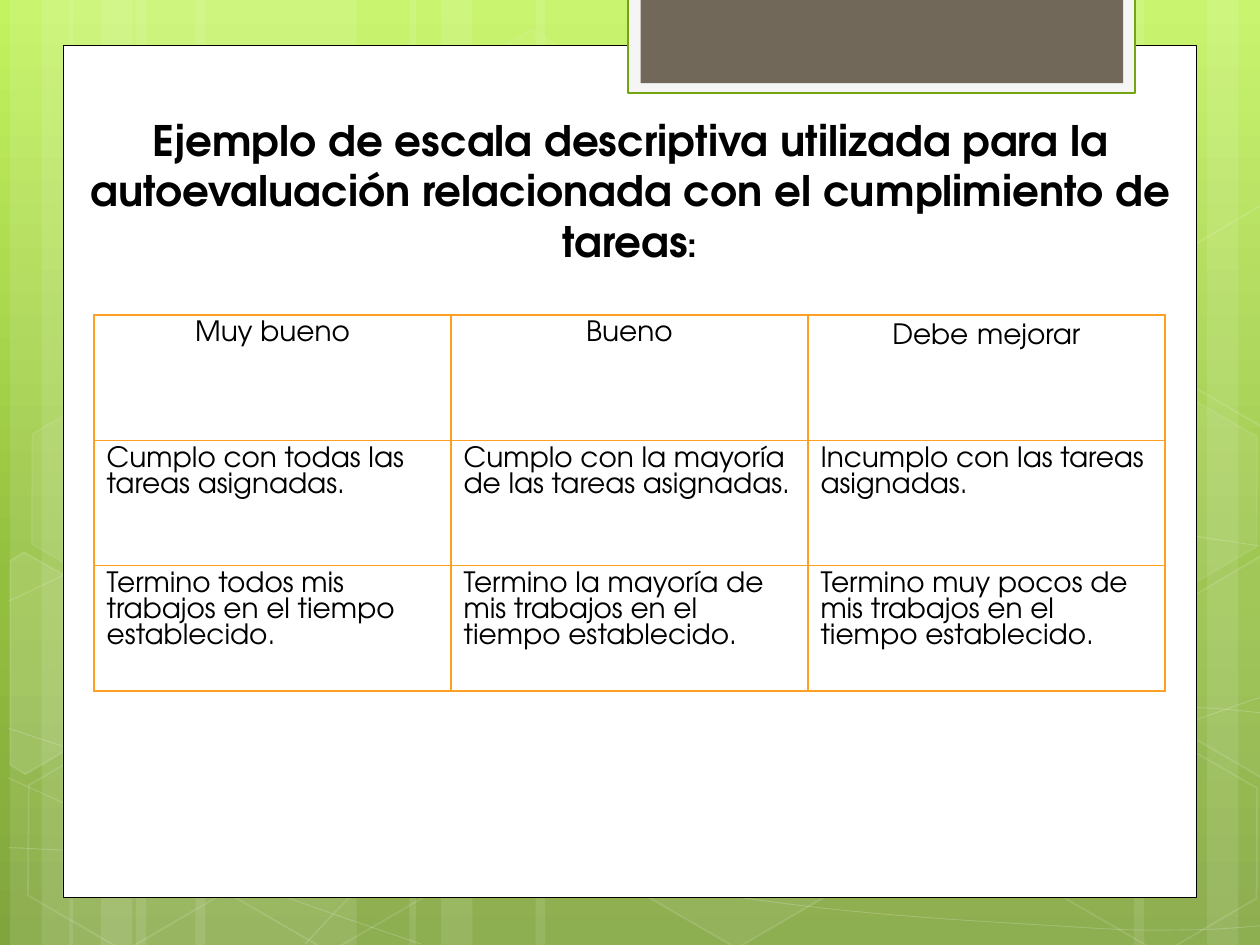
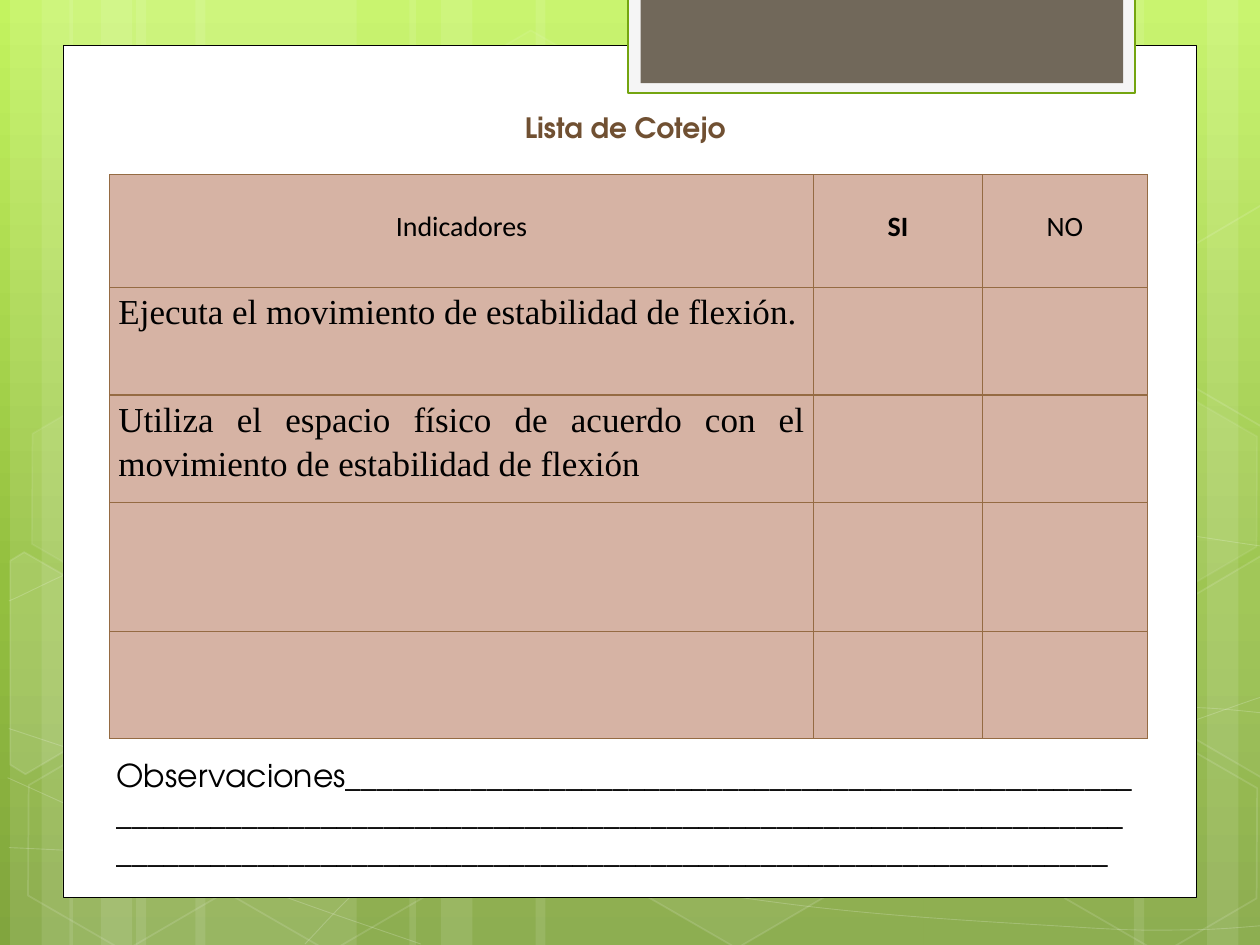
import copy
import math
from dataclasses import dataclass

import pptx
import pptx.dml.color
import pptx.enum.shapes
import pptx.enum.text
import pptx.oxml
import pptx.oxml.ns
import pptx.util

COLORS = {
    "white": "FFFFFF", "black": "000000", "lime": "C3F35F", "green": "93BF3F",
    "moss": "81A53E", "tab_edge": "74A510", "tab_frame": "F5F5F5", "tab": "71685A",
    "orange": "FEA022", "brown": "956B43", "tan": "D6B3A4", "title_brown": "705032",
}
ADVENTOR, CALIBRI, TIMES = "TeX Gyre Adventor", "Calibri", "Times New Roman"
SHAPE = pptx.enum.shapes.MSO_SHAPE
ALIGN = pptx.enum.text.PP_ALIGN
Pt = pptx.util.Pt
Point = tuple[float, float]
TILT = 30

prs = pptx.Presentation()
prs.slide_width = pptx.util.Inches(10)
prs.slide_height = pptx.util.Inches(7.5)


# Lengths are percentages of the slide's width (col) and height (row)
def col(share: float) -> int:
    return round(prs.slide_width * share / 100)


def row(share: float) -> int:
    return round(prs.slide_height * share / 100)


def rgb(name: str) -> pptx.dml.color.RGBColor:
    return pptx.dml.color.RGBColor.from_string(COLORS[name])


@dataclass(frozen=True)
class Box:
    left: float
    top: float
    width: float
    height: float

    def emu(self) -> tuple[int, int, int, int]:
        return col(self.left), row(self.top), col(self.width), row(self.height)


@dataclass(frozen=True)
class Look:
    fill: str | None = None
    fill_alpha: int = 100
    line: str | None = None
    line_pt: float = 1
    line_alpha: int = 100


@dataclass(frozen=True)
class Hexagon:
    left: float
    top: float
    fill_alpha: int
    line_alpha: int


@dataclass(frozen=True)
class CutHexagon:
    center: Point
    points: tuple[Point, ...]
    fill_alpha: int


@dataclass(frozen=True)
class Run:
    text: str
    size: float


@dataclass(frozen=True)
class Style:
    font: str = ADVENTOR
    color: str = "black"
    bold: bool = False
    align: ALIGN = ALIGN.LEFT
    spacing: float = 1.0
    margin_x: float = 0.1
    margin_top: float = 0.05


@dataclass(frozen=True)
class Cell:
    runs: tuple[Run, ...]
    style: Style


@dataclass(frozen=True)
class Grid:
    left: float
    top: float
    cols: tuple[float, ...]
    rows: tuple[float, ...]
    border: str
    border_pt: float
    fill: str | None


# Backdrop data
STRIPES = ((10.8, 17.5), (0.8, 5), (3.3, 8.3), (15.5, 17.5), (5.5, 5), (8, 8.3),
           (73.3, 17.5), (95.8, 5), (90, 8.3), (42.5, 30.8), (32.5, 5), (35, 8.3))
CURVES = (
    ((0.7, 89.7), (19, 90.4), (45.8, 88.7), (79.2, 82.3), (100.7, 73.5)),
    ((0.7, 63.6), (12.1, 57.5), (34.7, 51.6), (65.4, 51.6), (100.7, 57.9)),
    ((0.6, 82.3), (18.3, 92.7), (33.4, 99.9)),
    ((0.7, 77.1), (12.8, 82.1), (35.7, 89.7), (62.8, 95.7), (85.3, 98.1),
     (94.5, 98.4), (100.7, 97.9)),
    ((24.2, 99.9), (30.2, 92.1), (38.8, 85.2), (47, 81.2), (60.8, 77.1),
     (68, 75.9), (79.4, 74.9), (88.6, 74.9), (95.3, 74.9), (100.6, 75.5)),
)
HEXAGONS = (
    Hexagon(33.4, 4.8, 4, 8), Hexagon(49.7, 78.5, 6, 12), Hexagon(1.1, 78.8, 0, 12),
    Hexagon(1.4, 41.6, 7, 8), Hexagon(17.4, 78.9, 0, 12), Hexagon(75.3, 60.4, 10, 12),
    Hexagon(83.4, 79.1, 0, 12), Hexagon(83.4, 41.9, 7, 8),
)
CUT_HEXAGONS = (
    CutHexagon((3.6, 71.33), ((0.8, 59.3), (1.9, 58.4), (9.6, 64.3), (9.5, 76),
                              (2, 81.9), (0.8, 80.9)), 10),
    CutHexagon((98.5, 69.33), ((92.6, 64.7), (100.1, 58.8), (100.9, 59.5),
                               (100.9, 81.7), (100.2, 82.3), (92.6, 76.4)), 4),
    CutHexagon((98.5, 32.13), ((92.6, 27.6), (100.1, 21.7), (101, 22.4),
                               (100.9, 44.7), (100.2, 45.2), (92.6, 39.3)), 0),
)
PANELS = (
    (Box(5, 4.8, 90, 90.2), Look("white", line="black", line_pt=0.5)),
    (Box(49.87, -0.27, 40.2, 10.13), Look("tab_frame", line="tab_edge", line_pt=1.25)),
    (Box(50.85, -0.27, 38.3, 9.07), Look("tab")),
)


# Drawing helpers
def set_alpha(sp, query: str, alpha: int) -> None:
    if alpha < 100:
        for color in sp._element.spPr.xpath(query):
            color.append(pptx.oxml.parse_xml(
                f'<a:alpha {pptx.oxml.ns.nsdecls("a")} val="{alpha * 1000}"/>'))


def paint(sp, look: Look) -> None:
    sp.shadow.inherit = False
    if look.fill and look.fill_alpha:
        sp.fill.solid()
        sp.fill.fore_color.rgb = rgb(look.fill)
        set_alpha(sp, "./a:solidFill/a:srgbClr", look.fill_alpha)
    else:
        sp.fill.background()
    if look.line:
        sp.line.color.rgb = rgb(look.line)
        sp.line.width = Pt(look.line_pt)
        set_alpha(sp, "./a:ln/a:solidFill/a:srgbClr", look.line_alpha)
    else:
        sp.line.fill.background()


def add_rect(s, box: Box, look: Look) -> None:
    paint(s.shapes.add_shape(SHAPE.RECTANGLE, *box.emu()), look)


def add_outline(s, points: list[Point], look: Look, closed: bool):
    builder = s.shapes.build_freeform(*points[0])
    builder.add_line_segments(points[1:], close=closed)
    sp = builder.convert_to_shape()
    paint(sp, look)
    return sp


def add_curve(s, nodes: tuple[Point, ...], look: Look) -> None:
    """Draw a smooth curve with one Bézier piece between each two nodes."""
    padded = (nodes[0], *nodes, nodes[-1])
    points = [nodes[0]]
    for a, b, c, d in zip(padded, padded[1:], padded[2:], padded[3:]):
        points.append(tuple(q + (r - p) / 6 for p, q, r in zip(a, b, c)))
        points.append(tuple(q - (r - p) / 6 for p, q, r in zip(b, c, d)))
        points.append(c)
    sp = add_outline(s, [(col(x), row(y)) for x, y in points], look, False)
    lines = sp._element.xpath(".//a:lnTo")
    for first, second, end in zip(lines[::3], lines[1::3], lines[2::3]):
        bezier = pptx.oxml.parse_xml(f'<a:cubicBezTo {pptx.oxml.ns.nsdecls("a")}/>')
        first.addprevious(bezier)
        for line in (first, second, end):
            bezier.append(line[0])
            line.getparent().remove(line)


def add_cut_hexagon(s, cut: CutHexagon) -> None:
    cx, cy = col(cut.center[0]), row(cut.center[1])
    cos, sin = math.cos(math.radians(TILT)), math.sin(math.radians(TILT))
    offsets = [(col(x) - cx, row(y) - cy) for x, y in cut.points]
    upright = [(cx + x * cos + y * sin, cy - x * sin + y * cos) for x, y in offsets]
    add_outline(s, upright, Look("white", cut.fill_alpha, "white", 1, 12),
                True).rotation = TILT


def write(tf, runs: tuple[Run, ...], style: Style) -> None:
    p = tf.paragraphs[0]
    p.alignment = style.align
    p.line_spacing = style.spacing
    p.font.name = style.font
    p.font.bold = style.bold
    p.font.color.rgb = rgb(style.color)
    for run in runs:
        r = p.add_run()
        r.text = run.text
        r.font.size = Pt(run.size)


def add_text(s, box: Box, runs: tuple[Run, ...], style: Style) -> None:
    tf = s.shapes.add_textbox(*box.emu()).text_frame
    tf.word_wrap = True
    tf.margin_top = pptx.util.Inches(style.margin_top)
    write(tf, runs, style)


def add_borders(cell, color: str, width: float) -> None:
    tcPr = cell._tc.get_or_add_tcPr()
    for side in "LRTB":
        tcPr.append(pptx.oxml.parse_xml(
            f'<a:ln{side} {pptx.oxml.ns.nsdecls("a")} w="{Pt(width)}"><a:solidFill>'
            f'<a:srgbClr val="{COLORS[color]}"/></a:solidFill></a:ln{side}>'))


def add_grid(s, grid: Grid, content: list[list[Cell]]) -> None:
    box = Box(grid.left, grid.top, sum(grid.cols), sum(grid.rows))
    table = s.shapes.add_table(len(grid.rows), len(grid.cols), *box.emu()).table
    table.first_row = table.horz_banding = False
    for column, width in zip(table.columns, grid.cols):
        column.width = col(width)
    for line, height in zip(table.rows, grid.rows):
        line.height = row(height)
    for cell in table.iter_cells():
        add_borders(cell, grid.border, grid.border_pt)
        if grid.fill:
            cell.fill.solid()
            cell.fill.fore_color.rgb = rgb(grid.fill)
        else:
            cell.fill.background()
    for i, line in enumerate(content):
        for j, item in enumerate(line):
            cell = table.cell(i, j)
            cell.margin_left = cell.margin_right = pptx.util.Inches(item.style.margin_x)
            cell.margin_top = pptx.util.Inches(item.style.margin_top)
            write(cell.text_frame, item.runs, item.style)


# Shared backdrop
def set_background() -> None:
    master = prs.slide_master
    fill = master.background.fill
    fill.gradient()
    fill.gradient_angle = 270
    stops = master.element.find(".//" + pptx.oxml.ns.qn("a:gsLst"))
    stops.append(copy.deepcopy(stops[-1]))
    for stop, (place, color) in zip(fill.gradient_stops,
                                    ((0, "lime"), (0.62, "green"), (1, "moss"))):
        stop.position = place
        stop.color.rgb = rgb(color)


def new_slide():
    s = prs.slides.add_slide(prs.slide_layouts[6])
    for left, width in STRIPES:
        add_rect(s, Box(left, 0, width, 100), Look("white", 10))
    for nodes in CURVES:
        add_curve(s, nodes, Look(line="white", line_pt=0.5, line_alpha=20))
    for h in HEXAGONS:
        sp = s.shapes.add_shape(SHAPE.HEXAGON, *Box(h.left, h.top, 17.5, 20.27).emu())
        sp.adjustments[0], sp.adjustments[1] = 0.285, 1.155
        sp.rotation = TILT
        paint(sp, Look("white", h.fill_alpha, "white", 1, h.line_alpha))
    for cut in CUT_HEXAGONS:
        add_cut_hexagon(s, cut)
    for box, look in PANELS:
        add_rect(s, box, look)
    return s


# Slide 1: descriptive scale
def scale_slide() -> None:
    s = new_slide()
    heads = ((Run("Muy bueno", 16),), (Run("Bueno", 16),),
             (Run("Debe", 16), Run(" ", 18), Run("mejorar", 16)))
    levels = (
        ("Cumplo con todas las tareas asignadas.",
         "Cumplo con la mayoría de las tareas asignadas.",
         "Incumplo con las tareas asignadas."),
        ("Termino todos mis trabajos en el tiempo establecido.",
         "Termino la mayoría de mis trabajos en el tiempo establecido.",
         "Termino muy pocos de mis trabajos en el tiempo establecido."),
    )
    content = [[Cell(runs, Style(align=ALIGN.CENTER)) for runs in heads]]
    content += [[Cell((Run(text, 16),), Style()) for text in line] for line in levels]
    add_grid(s, Grid(7.47, 33.33, (28.33,) * 3, (13.27,) * 3, "orange", 1, None), content)
    add_text(s, Box(3.9, 11.45, 92.2, 17.33),
             (Run("Ejemplo de escala descriptiva utilizada para la autoevaluación "
                  "relacionada con el cumplimiento de tareas", 24), Run(":", 20)),
             Style(bold=True, align=ALIGN.CENTER))


# Slide 2: checklist
def checklist_slide() -> None:
    s = new_slide()
    add_text(s, Box(8.27, 6.93, 82.7, 14.8), (Run("Lista de Cotejo", 16),),
             Style(color="title_brown", bold=True, align=ALIGN.CENTER, margin_top=0.36))
    body = Style(TIMES, align=ALIGN.JUSTIFY, spacing=1.15, margin_x=0.07, margin_top=0)
    content = [[Cell((Run(text, 16),),
                     Style(CALIBRI, bold=text == "SI", align=ALIGN.CENTER,
                           margin_x=0.05, margin_top=0.28))
                for text in ("Indicadores", "SI", "NO")]]
    content += [[Cell((Run(text, 20),), body)] for text in (
        "Ejecuta el movimiento de estabilidad de flexión.",
        "Utiliza el espacio físico de acuerdo con el movimiento de estabilidad de flexión")]
    add_grid(s, Grid(8.7, 18.47, (55.87, 13.4, 13.1), (11.93, 11.4, 11.4, 13.6, 11.4),
                     "brown", 0.75, "tan"), content)
    add_text(s, Box(8.27, 79.4, 82.7, 13.47),
             (Run("Observaciones" + "_" * 177, 18),), Style())


def main() -> None:
    set_background()
    scale_slide()
    checklist_slide()
    prs.save("out.pptx")


if __name__ == "__main__":
    main()
